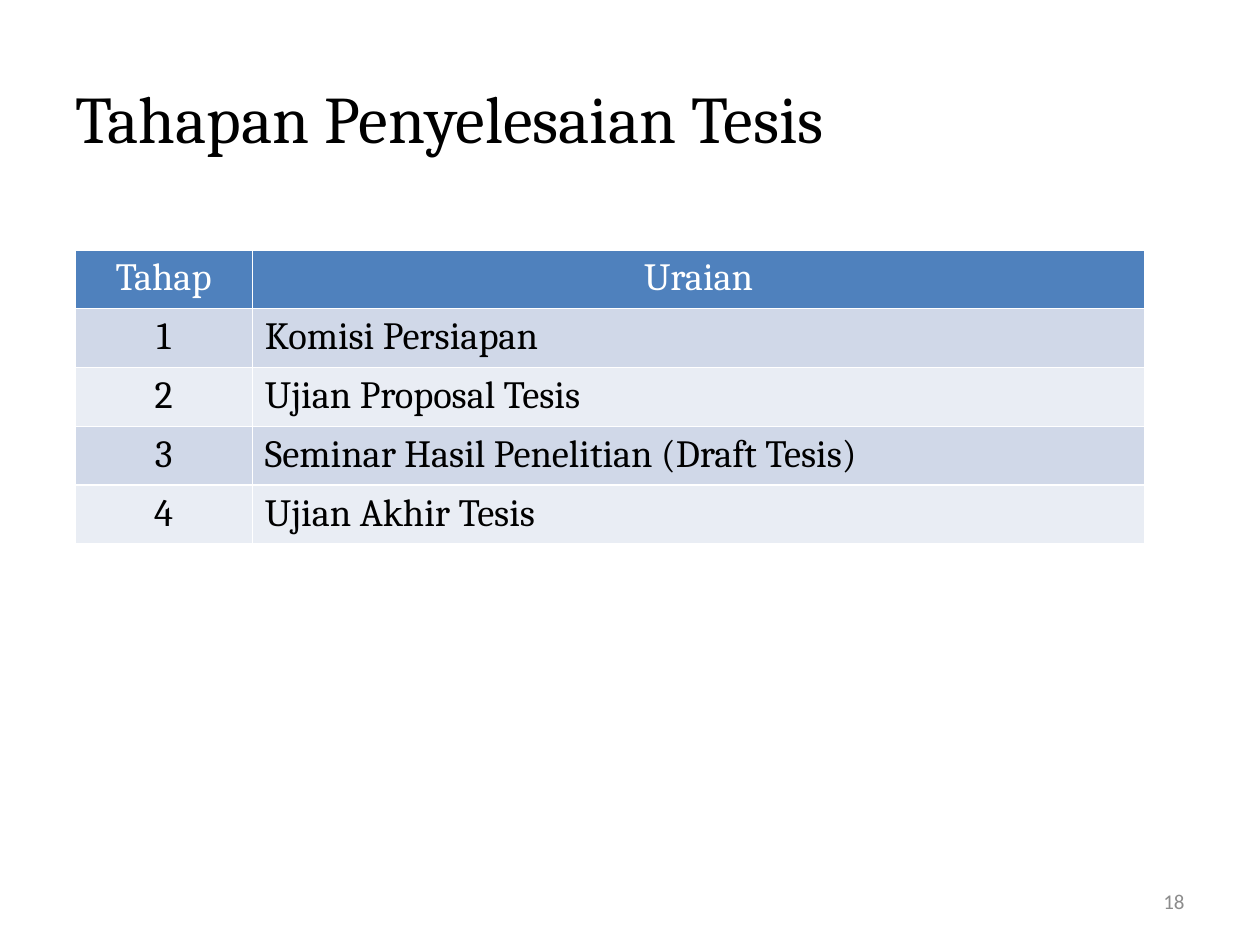
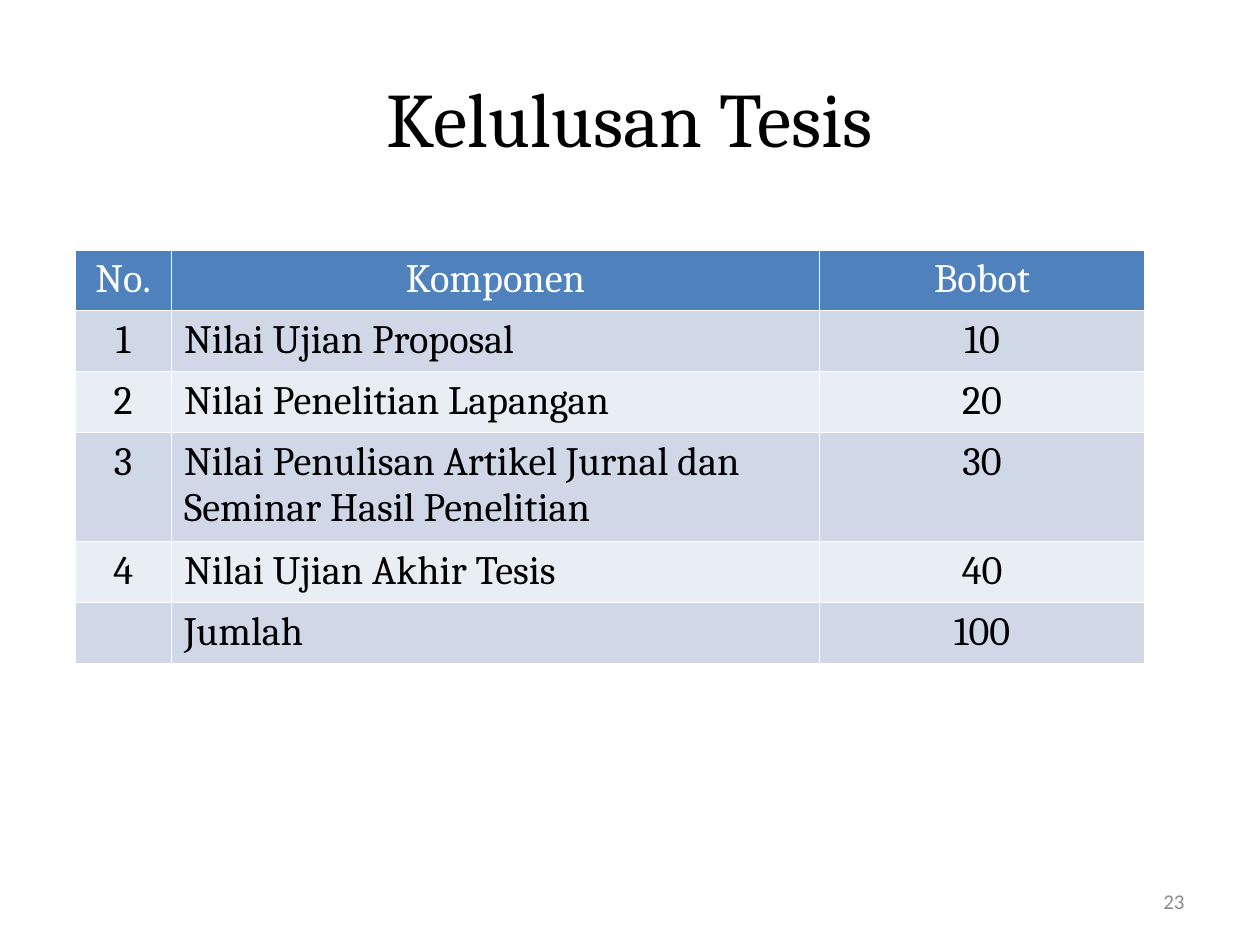
from dataclasses import dataclass

from pptx import Presentation
from pptx.dml.color import RGBColor
from pptx.enum import text as tx
from pptx.util import Pt

LEFT, CENTER, RIGHT = tx.PP_ALIGN.LEFT, tx.PP_ALIGN.CENTER, tx.PP_ALIGN.RIGHT


@dataclass(frozen=True)
class Theme:
    heading_font: str = "Cambria"
    number_font: str = "Calibri"
    ink: str = "000000"
    header_ink: str = "FFFFFF"
    header_fill: str = "4F81BD"
    bands: tuple[str, str] = ("D0D8E8", "E9EDF4")
    muted: str = "8C8C8C"
    title_size: float = 44
    small_title_size: float = 38
    table_size: float = 23
    small_table_size: float = 22
    number_size: float = 12


@dataclass(frozen=True)
class Column:
    heading: str
    width: float
    align: tx.PP_ALIGN = CENTER


@dataclass(frozen=True)
class Page:
    title: str
    title_size: float
    title_align: tx.PP_ALIGN
    number: int
    columns: tuple[Column, ...]
    rows: tuple[tuple[str, ...], ...]
    table_size: float


THEME = Theme()
TABLE_LEFT, TABLE_TOP, ROW_HEIGHT = 42.75, 142.75, 29.5

PAGES = (
    Page(
        "Tahapan Penyelesaian Tesis", THEME.small_title_size, LEFT, 18,
        (Column("Tahap", 101.5), Column("Uraian", 510, LEFT)),
        (
            ("1", "Komisi Persiapan"),
            ("2", "Ujian Proposal Tesis"),
            ("3", "Seminar Hasil Penelitian (Draft Tesis)"),
            ("4", "Ujian Akhir Tesis"),
        ),
        THEME.small_table_size,
    ),
    Page(
        "Kelulusan Tesis", THEME.title_size, CENTER, 23,
        (Column("No.", 55.25), Column("Komponen", 370.25, LEFT), Column("Bobot", 186)),
        (
            ("1", "Nilai Ujian Proposal", "10"),
            ("2", "Nilai Penelitian Lapangan", "20"),
            ("3", "Nilai Penulisan Artikel Jurnal dan Seminar Hasil Penelitian", "30"),
            ("4", "Nilai Ujian Akhir Tesis", "40"),
            ("", "Jumlah", "100"),
        ),
        THEME.table_size,
    ),
)


def write(frame, text: str, *, size: float, color: str = THEME.ink,
          font: str = THEME.heading_font, align: tx.PP_ALIGN = LEFT) -> None:
    """Set the text of a frame and its format."""
    frame.word_wrap = True
    paragraph = frame.paragraphs[0]
    paragraph.alignment = align
    run = paragraph.add_run()
    run.text = text
    run.font.name = font
    run.font.size = Pt(size)
    run.font.bold = False
    run.font.color.rgb = RGBColor.from_string(color)


def place(shape, left: float, top: float, width: float, height: float) -> None:
    shape.left, shape.top = Pt(left), Pt(top)
    shape.width, shape.height = Pt(width), Pt(height)


def add_title(slide, page: Page) -> None:
    title = slide.shapes.title
    place(title, 36, 21.6, 648, 90)
    title.text_frame.vertical_anchor = tx.MSO_ANCHOR.MIDDLE
    write(title.text_frame, page.title, size=page.title_size, align=page.title_align)


def add_page_number(slide, number: int) -> None:
    box = slide.shapes.add_textbox(Pt(516), Pt(500.5), Pt(168), Pt(28.75))
    box.text_frame.vertical_anchor = tx.MSO_ANCHOR.MIDDLE
    write(box.text_frame, str(number), size=THEME.number_size, color=THEME.muted,
          font=THEME.number_font, align=RIGHT)


def add_banded_table(slide, page: Page) -> None:
    lines = (tuple(column.heading for column in page.columns), *page.rows)
    width = sum(column.width for column in page.columns)
    table = slide.shapes.add_table(
        len(lines), len(page.columns), Pt(TABLE_LEFT), Pt(TABLE_TOP),
        Pt(width), Pt(ROW_HEIGHT * len(lines))).table
    for table_column, column in zip(table.columns, page.columns):
        table_column.width = Pt(column.width)

    for r, line in enumerate(lines):
        is_header = r == 0
        fill = THEME.header_fill if is_header else THEME.bands[(r - 1) % 2]
        for c, (column, entry) in enumerate(zip(page.columns, line)):
            cell = table.cell(r, c)
            cell.fill.solid()
            cell.fill.fore_color.rgb = RGBColor.from_string(fill)
            if entry:
                write(cell.text_frame, entry, size=page.table_size,
                      color=THEME.header_ink if is_header else THEME.ink,
                      align=CENTER if is_header else column.align)


def main() -> None:
    deck = Presentation()
    deck.slide_width, deck.slide_height = Pt(720), Pt(540)
    title_only = deck.slide_layouts[5]
    for page in PAGES:
        slide = deck.slides.add_slide(title_only)
        add_page_number(slide, page.number)
        add_banded_table(slide, page)
        add_title(slide, page)
    deck.save("out.pptx")


if __name__ == "__main__":
    main()
